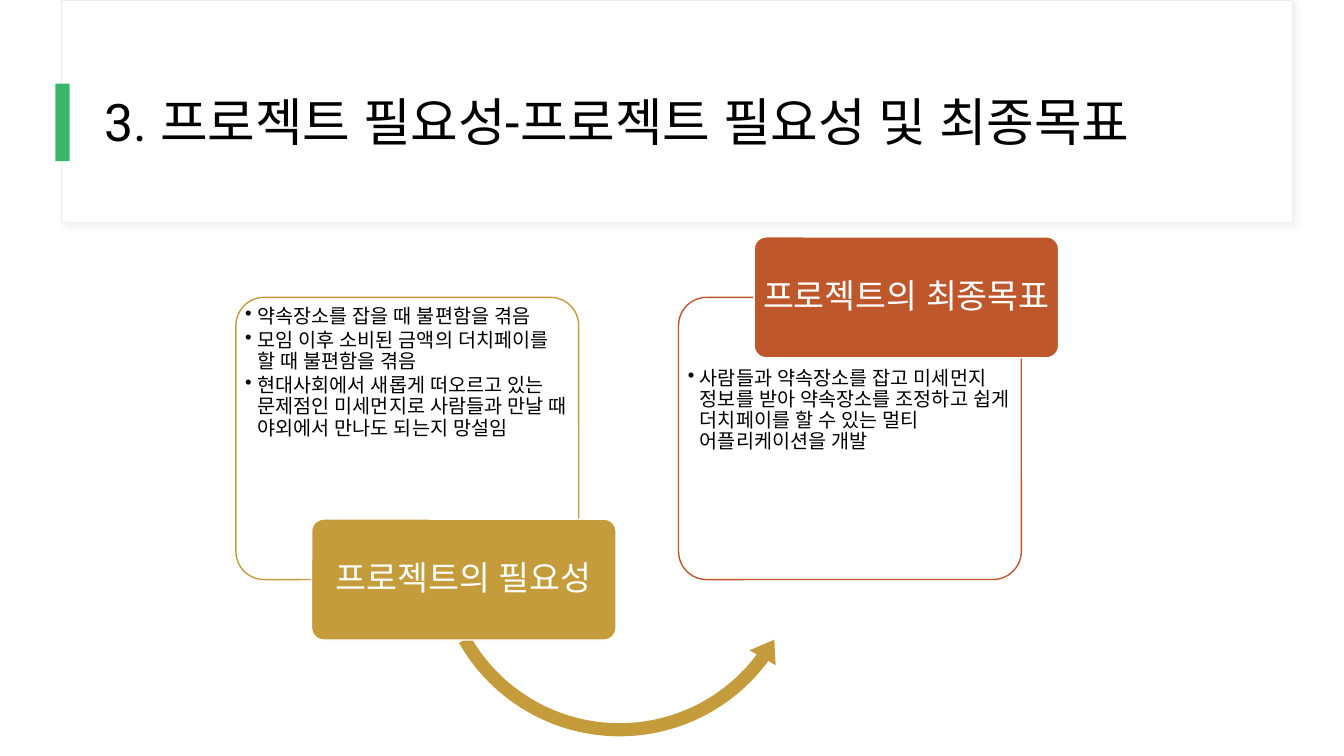
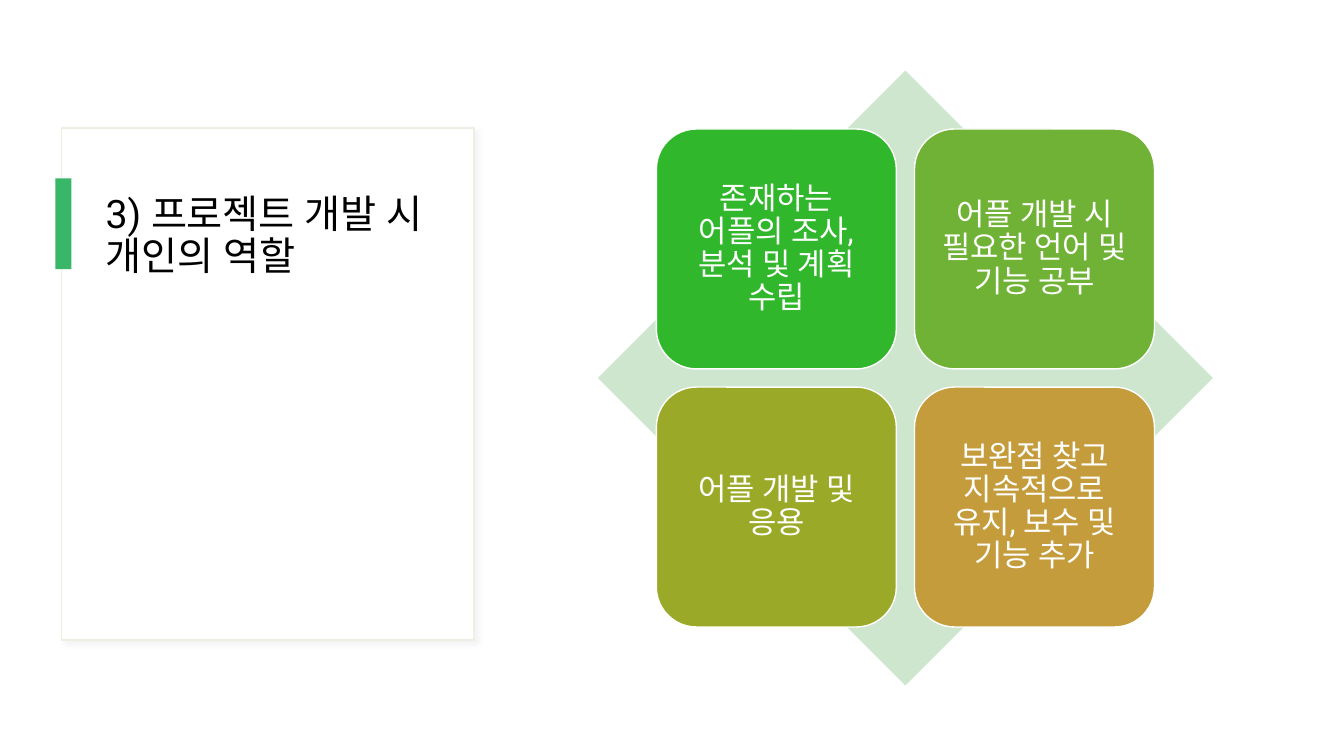
from lxml import etree
from pptx import Presentation
from pptx import util as u
from pptx.dml.color import RGBColor
from pptx.enum import shapes, text
from pptx.oxml import ns

PX = u.Inches(1) // 100
FONT = "Roboto"
BLACK, WHITE = "000000", "FFFFFF"
ACCENT, FRAME_LINE, FRAME_SHADOW = "37B767", "F0EDE4", "D9D9D9"
GOLD, RUST = "C49C3B", "BF572D"
DIAMOND_FILL = "CEE6CD"
PRESET = shapes.MSO_SHAPE
MIDDLE, TOP = text.MSO_ANCHOR.MIDDLE, text.MSO_ANCHOR.TOP
CENTER, LEFT = text.PP_ALIGN.CENTER, text.PP_ALIGN.LEFT

NEED_TITLE = {
    "text": "3. 프로젝트 필요성-프로젝트 필요성 및 최종목표",
    "box": (94, 60, 1140, 127), "size": 37, "anchor": MIDDLE,
    "frame": (61, 0, 1221, 221), "frame_width": 0.5,
    "accent": (55, 83, 14, 77),
}
ROLE_TITLE = {
    "text": "3) 프로젝트 개발 시 개인의 역할",
    "box": (95, 188, 339, 385), "size": 28, "anchor": TOP,
    "frame": (61, 127, 409, 508), "frame_width": 1,
    "accent": (55, 177, 16, 90),
}

PANEL_TOP, PANEL_WIDTH, PANEL_HEIGHT = 295, 340, 280
LABEL_WIDTH, LABEL_HEIGHT, LABEL_SHIFT = 302, 120, 75
BULLET_INDENT = 12
ARROW_BOX = (423, 356, 383, 383)
ARROW_ADJUSTMENTS = (0.034, 4.165, 21.92, 90.245, 0.039)
STEPS = [
    {"label": "프로젝트의 필요성", "color": GOLD,
     "left": 234, "label_top": 515, "text_top": 1,
     "points": ["약속장소를 잡을 때 불편함을 겪음",
                "모임 이후 소비된 금액의 더치페이를 할 때 불편함을 겪음",
                "현대사회에서 새롭게 떠오르고 있는 문제점인 미세먼지로 "
                "사람들과 만날 때 야외에서 만나도 되는지 망설임"]},
    {"label": "프로젝트의 최종목표", "color": RUST,
     "left": 673, "label_top": 235, "text_top": 62,
     "points": ["사람들과 약속장소를 잡고 미세먼지 정보를 받아 약속장소를 "
                "조정하고 쉽게 더치페이를 할 수 있는 멀티 어플리케이션을 개발"]},
]

DIAMOND_BOX = (593, 70, 610, 610)
GRID_LEFT, GRID_TOP, TILE, TILE_GAP = 651, 128, 238, 18
ROLES = [
    ("존재하는 어플의 조사, 분석 및 계획 수립", "31B72B"),
    ("어플 개발 시 필요한 언어 및 기능 공부", "6FB236"),
    ("어플 개발 및 응용", "9AAA28"),
    ("보완점 찾고 지속적으로 유지, 보수 및 기능 추가", GOLD),
]


def rgb(value):
    return RGBColor.from_string(value)


def emu(box):
    return [length * PX for length in box]


def add_block(slide, preset, box, fill, line=None, width=1, adjustments=()):
    """Add a flat preset shape, outlined only when a line colour is given."""
    shape = slide.shapes.add_shape(preset, *emu(box))
    shape.shadow.inherit = False
    shape.fill.solid()
    shape.fill.fore_color.rgb = rgb(fill)
    if line:
        shape.line.color.rgb = rgb(line)
        shape.line.width = u.Pt(width)
    else:
        shape.line.fill.background()
    for index, value in enumerate(adjustments):
        shape.adjustments[index] = value
    return shape


def add_bullet(paragraph):
    properties = paragraph._p.get_or_add_pPr()
    properties.set("marL", str(BULLET_INDENT * PX))
    properties.set("indent", str(-BULLET_INDENT * PX))
    etree.SubElement(properties, ns.qn("a:buChar")).set("char", "•")


def write(shape, paragraphs, size, color, insets, anchor=MIDDLE,
          align=CENTER, bullets=False):
    """Fill a shape with text; insets are left, top, right, bottom in px."""
    frame = shape.text_frame
    frame.word_wrap = True
    frame.vertical_anchor = anchor
    (frame.margin_left, frame.margin_top,
     frame.margin_right, frame.margin_bottom) = emu(insets)
    for index, content in enumerate(paragraphs):
        paragraph = frame.add_paragraph() if index else frame.paragraphs[0]
        if bullets:
            add_bullet(paragraph)
            paragraph.space_after = u.Pt(2)
        paragraph.alignment = align
        paragraph.line_spacing = 0.9
        run = paragraph.add_run()
        run.text = content
        run.font.size = u.Pt(size)
        run.font.name = FONT
        run.font.color.rgb = rgb(color)
        east_asian = etree.SubElement(run.font._element, ns.qn("a:ea"))
        east_asian.set("typeface", FONT)


def add_soft_shadow(shape):
    effects = shape._element.spPr.find(ns.qn("a:effectLst"))
    shadow = etree.SubElement(
        effects, ns.qn("a:outerShdw"), blurRad=str(u.Pt(4)),
        dist=str(u.Pt(3)), dir=str(45 * 60000), algn="tl", rotWithShape="0")
    color = etree.SubElement(shadow, ns.qn("a:srgbClr"), val=FRAME_SHADOW)
    etree.SubElement(color, ns.qn("a:alpha"), val="30000")


def add_titled_slide(presentation, title):
    """Add a blank slide with the framed title and its green accent bar."""
    slide = presentation.slides.add_slide(presentation.slide_layouts[6])
    frame = add_block(slide, PRESET.RECTANGLE, title["frame"], WHITE,
                      FRAME_LINE, title["frame_width"])
    add_soft_shadow(frame)
    box = slide.shapes.add_textbox(*emu(title["box"]))
    write(box, [title["text"]], title["size"], BLACK, (10, 5, 10, 5),
          title["anchor"], LEFT)
    add_block(slide, PRESET.RECTANGLE, title["accent"], ACCENT)
    return slide


def add_step(slide, step):
    panel = add_block(slide, PRESET.ROUNDED_RECTANGLE,
                      (step["left"], PANEL_TOP, PANEL_WIDTH, PANEL_HEIGHT),
                      WHITE, step["color"], adjustments=(0.1,))
    write(panel, step["points"], 14, BLACK, (1, step["text_top"], 1, 1),
          TOP, LEFT, bullets=True)
    label = add_block(slide, PRESET.ROUNDED_RECTANGLE,
                      (step["left"] + LABEL_SHIFT, step["label_top"],
                       LABEL_WIDTH, LABEL_HEIGHT),
                      step["color"], WHITE, adjustments=(0.1,))
    write(label, [step["label"]], 24, WHITE, (5, 3, 5, 3))


def build_need_slide(presentation):
    slide = add_titled_slide(presentation, NEED_TITLE)
    add_block(slide, PRESET.LEFT_CIRCULAR_ARROW, ARROW_BOX, GOLD,
              adjustments=ARROW_ADJUSTMENTS)
    for step in STEPS:
        add_step(slide, step)


def build_role_slide(presentation):
    slide = add_titled_slide(presentation, ROLE_TITLE)
    add_block(slide, PRESET.DIAMOND, DIAMOND_BOX, DIAMOND_FILL)
    for index, (role, color) in enumerate(ROLES):
        row, column = divmod(index, 2)
        left = GRID_LEFT + column * (TILE + TILE_GAP)
        top = GRID_TOP + row * (TILE + TILE_GAP)
        tile = add_block(slide, PRESET.ROUNDED_RECTANGLE,
                         (left, top, TILE, TILE), color, WHITE)
        write(tile, [role], 22, WHITE, (9, 9, 9, 9))


def main():
    presentation = Presentation()
    presentation.slide_width, presentation.slide_height = emu((1333, 750))
    build_need_slide(presentation)
    build_role_slide(presentation)
    presentation.save("out.pptx")


if __name__ == "__main__":
    main()
